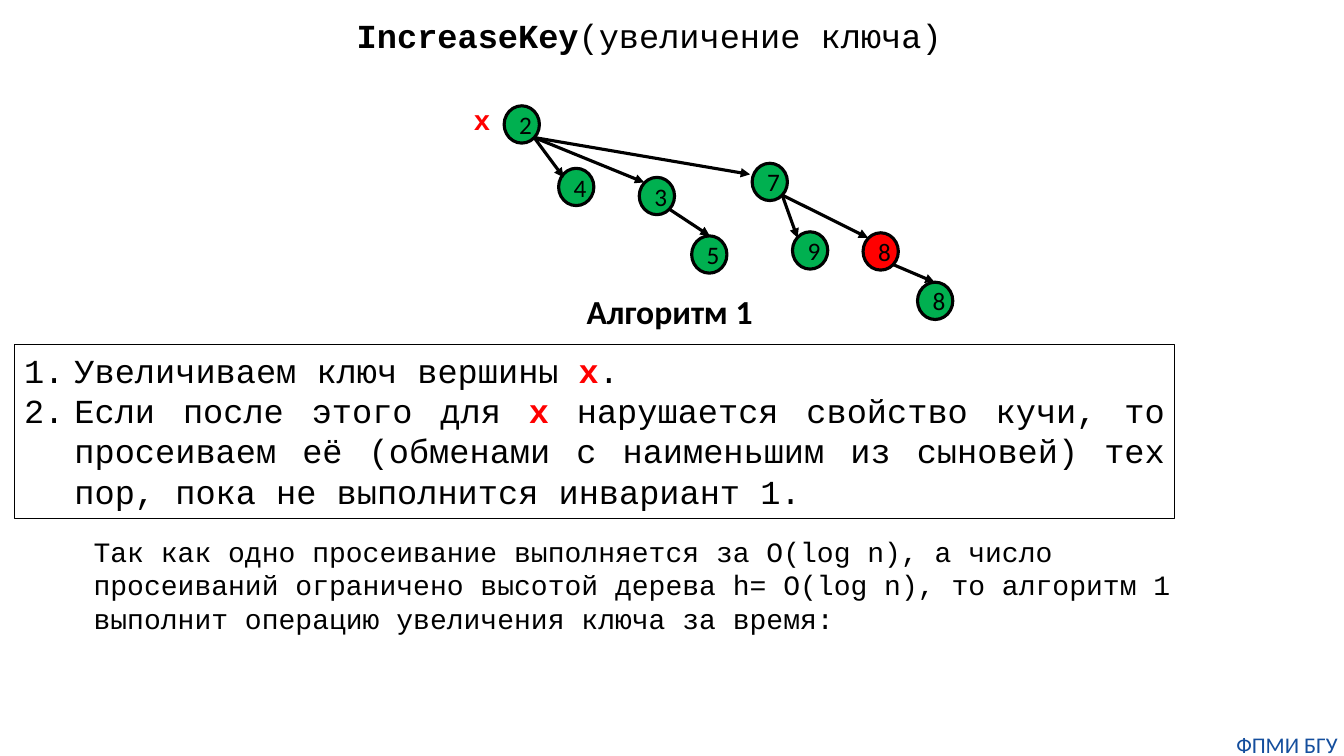
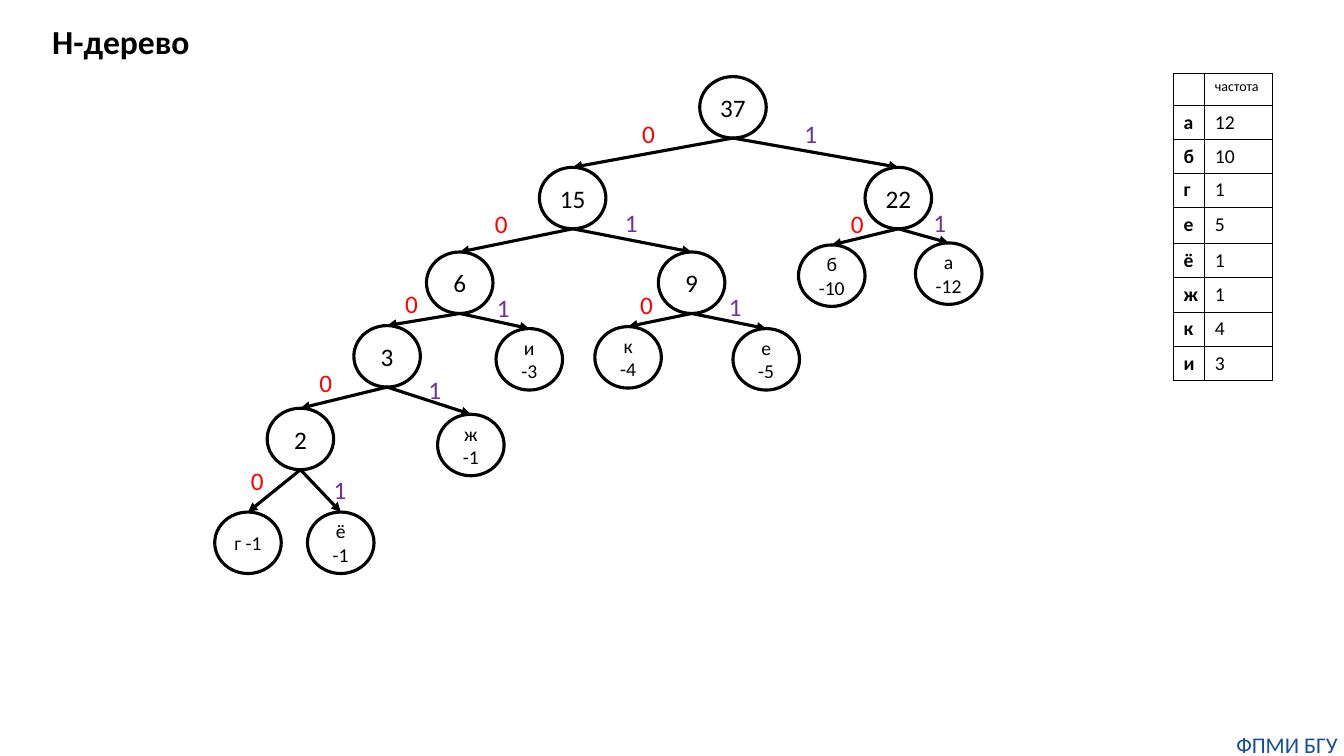
from lxml import etree
from pptx import Presentation
from pptx.dml.color import RGBColor
from pptx.enum import shapes, text
from pptx.oxml.ns import qn
from pptx.util import Pt

PX = 9144
BLACK = RGBColor(0x00, 0x00, 0x00)
GREEN = RGBColor(0x00, 0xB0, 0x50)
RED = RGBColor(0xFF, 0x00, 0x00)
PURPLE = RGBColor(0x70, 0x30, 0xA0)
NAVY = RGBColor(0x14, 0x4E, 0x9D)
SANS, MONO = "Calibri", "Courier New"
LINE_WIDTH = Pt(2.25)
LEFT, CENTER, JUSTIFY = text.PP_ALIGN.LEFT, text.PP_ALIGN.CENTER, text.PP_ALIGN.JUSTIFY
TOP, MIDDLE = text.MSO_ANCHOR.TOP, text.MSO_ANCHOR.MIDDLE

HEAP_W, HEAP_H = 35, 37
HEAP_NODES = {
    "root": ("2", 500, 105, GREEN),
    "four": ("4", 554, 167, GREEN),
    "three": ("3", 634, 176, GREEN),
    "five": ("5", 686, 234, GREEN),
    "seven": ("7", 746, 162, GREEN),
    "nine": ("9", 786, 230, GREEN),
    "raised": ("8", 856, 231, RED),
    "last": ("8", 910, 280, GREEN),
}
HEAP_ARROWS = [
    ("root", 559, 176), ("root", 639, 181), ("root", 744, 173),
    ("three", 704, 234), ("seven", 791, 236), ("seven", 861, 236),
    ("raised", 927, 280),
]

CODE_W, CODE_H = 66, 61
CODE_ROOT = ("37", 694, 76)
CODE_BRANCHES = [
    ("37", "0", 627, 112, "15", 535, 166),
    ("37", "1", 788, 112, "22", 858, 166),
    ("15", "0", 481, 202, "6", 423, 250),
    ("15", "1", 610, 201, "9", 653, 250),
    ("22", "0", 834, 202, "б -10", 792, 243),
    ("22", "1", 916, 201, "a -12", 908, 241),
    ("6", "0", 392, 281, "3", 351, 323),
    ("6", "1", 483, 285, "и -3", 492, 326),
    ("9", "0", 625, 282, "к -4", 590, 324),
    ("9", "1", 713, 284, "е -5", 727, 326),
    ("3", "0", 307, 359, "2", 265, 405),
    ("3", "1", 415, 366, "ж -1", 434, 411),
    ("2", "0", 239, 457, "г -1", 213, 508),
    ("2", "1", 321, 466, "ё -1", 305, 508),
]
BIT_COLORS = {"0": RED, "1": PURPLE}
FREQUENCIES = [
    ("", "частота"), ("а", "12"), ("б", "10"), ("г", "1"), ("е", "5"),
    ("ё", "1"), ("ж", "1"), ("к", "4"), ("и", "3"),
]
ROW_HEIGHTS = [32, 32, 31, 34, 36, 34, 34, 34, 34]


def px(*lengths):
    """Turn pixel lengths into EMU."""
    return [round(n * PX) for n in lengths]


def add_run(p, content, size, color=BLACK, font=SANS, bold=False):
    """Add one formatted run to a paragraph."""
    r = p.add_run()
    r.text = content
    r.font.name, r.font.size, r.font.bold = font, Pt(size), bold
    r.font.color.rgb = color


def set_frame(sp, anchor, align):
    """Wrap and anchor the text of a shape and return its frame."""
    tf = sp.text_frame
    tf.word_wrap = True
    tf.vertical_anchor = anchor
    tf.paragraphs[0].alignment = align
    return tf


def add_text(slide, box, runs, align=LEFT):
    """Add a text box holding one paragraph of runs."""
    tf = set_frame(slide.shapes.add_textbox(*px(*box)), TOP, align)
    for run in runs:
        add_run(tf.paragraphs[0], *run)
    return tf


def add_outlined(slide, kind, box, width, fill=None):
    """Add a black outlined shape, filled if a colour is given."""
    sp = slide.shapes.add_shape(kind, *px(*box))
    sp.shadow.inherit = False
    sp.line.color.rgb, sp.line.width = BLACK, width
    if fill is None:
        sp.fill.background()
    else:
        sp.fill.solid()
        sp.fill.fore_color.rgb = fill
    return sp


def add_node(slide, label, box, size=18, fill=None):
    """Add a round tree node with its label."""
    sp = add_outlined(slide, shapes.MSO_SHAPE.OVAL, box, LINE_WIDTH, fill)
    add_run(set_frame(sp, MIDDLE, CENTER).paragraphs[0], label, size)


def add_arrow(slide, start, end):
    """Add a straight black arrow between two points."""
    line = slide.shapes.add_connector(shapes.MSO_CONNECTOR.STRAIGHT, *px(*start, *end))
    line.line.color.rgb, line.line.width = BLACK, LINE_WIDTH
    ln = line.line._get_or_add_ln()
    etree.SubElement(ln, qn("a:tailEnd"), type="triangle")
    etree.SubElement(line._element.spPr, qn("a:effectLst"))


def add_numbered(slide, box, items):
    """Add a framed numbered list."""
    sp = add_outlined(slide, shapes.MSO_SHAPE.RECTANGLE, box, Pt(0.75))
    tf = set_frame(sp, TOP, JUSTIFY)
    indent = px(50)[0]
    for i, runs in enumerate(items):
        p = tf.add_paragraph() if i else tf.paragraphs[0]
        p.alignment = JUSTIFY
        pPr = p._p.get_or_add_pPr()
        pPr.set("marL", str(indent))
        pPr.set("indent", str(-indent))
        etree.SubElement(pPr, qn("a:buFont"), typeface="+mj-lt")
        etree.SubElement(pPr, qn("a:buAutoNum"), type="arabicPeriod")
        for run in runs:
            add_run(p, *run)


def border_cell(cell):
    """Draw thin black borders on a cell and clear its fill."""
    tcPr = cell._tc.get_or_add_tcPr()
    for side in ("lnL", "lnR", "lnT", "lnB"):
        ln = etree.SubElement(tcPr, qn(f"a:{side}"), w=str(Pt(1)))
        fill = etree.SubElement(ln, qn("a:solidFill"))
        etree.SubElement(fill, qn("a:srgbClr"), val=str(BLACK))
    cell.fill.background()


def add_frequency_table(slide):
    """Add the table of letter frequencies."""
    table = slide.shapes.add_table(
        len(FREQUENCIES), 2, *px(1164, 73, 98, sum(ROW_HEIGHTS))).table
    for column, width in zip(table.columns, px(31, 67)):
        column.width = width
    for i, (row, height) in enumerate(zip(table.rows, px(*ROW_HEIGHTS))):
        row.height = height
        for j, content in enumerate(FREQUENCIES[i]):
            cell = table.cell(i, j)
            border_cell(cell)
            p = cell.text_frame.paragraphs[0]
            if content:
                add_run(p, content, 14 if i else 10, bold=j == 0)
            else:
                etree.SubElement(p._p, qn("a:endParaRPr"), sz="1000")


def add_slide(prs):
    """Add a blank slide with the shared footer."""
    slide = prs.slides.add_slide(prs.slide_layouts[6])
    tf = add_text(slide, (1220, 725, 113, 27), [("ФПМИ БГУ", 16, NAVY)], CENTER)
    tf.margin_left = tf.margin_right = tf.margin_top = tf.margin_bottom = 0
    return slide


def draw_heap(slide):
    """Draw the heap nodes and the arrows leaving their lower right."""
    for label, x, y, fill in HEAP_NODES.values():
        add_node(slide, label, (x, y, HEAP_W, HEAP_H), fill=fill)
    for parent, *tip in HEAP_ARROWS:
        _, x, y, _ = HEAP_NODES[parent]
        add_arrow(slide, (x + HEAP_W * 0.85, y + HEAP_H * 0.85), tip)
    add_text(slide, (460, 97, 36, 44), [("x", 20, RED, MONO, True)])


def draw_code_tree(slide):
    """Draw the prefix code tree with its branch bits."""
    label, x, y = CODE_ROOT
    places = {label: (x, y)}
    add_node(slide, label, (x, y, CODE_W, CODE_H))
    for parent, bit, bit_x, bit_y, label, x, y in CODE_BRANCHES:
        places[label] = x, y
        parent_x, parent_y = places[parent]
        size = 14 if " " in label else 18
        add_node(slide, label, (x, y, CODE_W, CODE_H), size)
        add_arrow(slide, (parent_x + CODE_W / 2, parent_y + CODE_H), (x + CODE_W / 2, y))
        add_text(slide, (bit_x, bit_y, 33, 40), [(bit, 18, BIT_COLORS[bit])])


def build_increase_key(prs):
    """Build the slide about increasing a key."""
    slide = add_slide(prs)
    add_text(slide, (344, 10, 643, 50), [
        ("IncreaseKey", 24, BLACK, MONO, True),
        ("(увеличение ключа)", 24, BLACK, MONO)])
    draw_heap(slide)
    add_text(slide, (572, 284, 192, 50), [("Алгоритм 1", 24, BLACK, SANS, True)])
    vertex = ("x", 24, RED, MONO, True)
    add_numbered(slide, (14, 342, 1151, 172), [
        [("Увеличиваем ключ вершины ", 24, BLACK, MONO), vertex, (".", 24, BLACK, MONO)],
        [("Если после этого для ", 24, BLACK, MONO), vertex,
         (" нарушается свойство кучи, то просеиваем её (обменами с наименьшим "
          "из сыновей) тех пор, пока не выполнится инвариант 1.", 24, BLACK, MONO)],
    ])
    add_text(slide, (83, 525, 1098, 111), [
        ("Так как одно просеивание выполняется за O(log n), а число просеиваний "
         "ограничено высотой дерева h= O(log n), то алгоритм 1 выполнит операцию "
         "увеличения ключа за время:", 20, BLACK, MONO)])


def build_code_tree(prs):
    """Build the slide with the code tree and its frequencies."""
    slide = add_slide(prs)
    add_text(slide, (42, 16, 224, 50), [("Н-дерево", 24, BLACK, SANS, True)])
    draw_code_tree(slide)
    add_frequency_table(slide)


def main():
    """Build and save the presentation."""
    prs = Presentation()
    prs.slide_width, prs.slide_height = px(1333, 750)
    build_increase_key(prs)
    build_code_tree(prs)
    prs.save("out.pptx")


if __name__ == "__main__":
    main()
